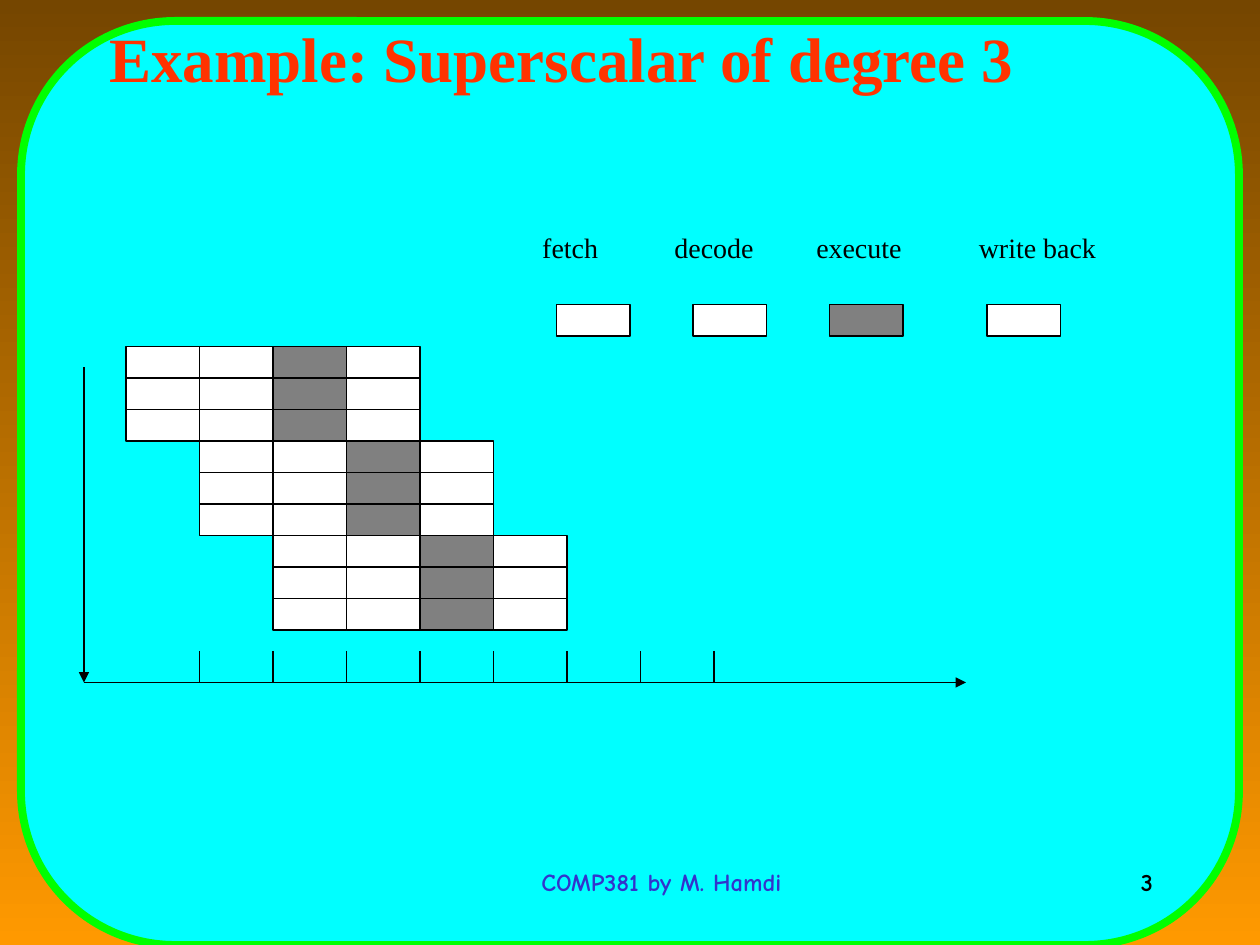
from dataclasses import dataclass

from lxml import etree
from pptx import Presentation
from pptx.dml.color import RGBColor
from pptx.enum.shapes import MSO_CONNECTOR, MSO_SHAPE
from pptx.enum.text import MSO_ANCHOR, MSO_AUTO_SIZE, PP_ALIGN
from pptx.oxml.ns import qn
from pptx.util import Cm, Pt

LEFT, CENTER, RIGHT = PP_ALIGN.LEFT, PP_ALIGN.CENTER, PP_ALIGN.RIGHT
TOP, MIDDLE = MSO_ANCHOR.TOP, MSO_ANCHOR.MIDDLE
NO_FIT = MSO_AUTO_SIZE.NONE
STRAIGHT = MSO_CONNECTOR.STRAIGHT
RECT, PANEL = MSO_SHAPE.RECTANGLE, MSO_SHAPE.FLOWCHART_ALTERNATE_PROCESS


@dataclass(frozen=True)
class Theme:
    serif: str = "Times New Roman"
    comic: str = "Comic Neue"
    top: str = "754600"
    base: str = "FF9900"
    panel: str = "00FFFF"
    edge: str = "00FF00"
    title: str = "FF3300"
    footer: str = "3333CC"
    ink: str = "000000"
    plain: str = "FFFFFF"
    busy: str = "808080"
    big: int = 36
    label: int = 16
    small: int = 14
    thin: float = 0.75
    thick: float = 4.5


@dataclass(frozen=True)
class Box:
    """A frame measured in grid units."""
    x: float
    y: float
    w: float
    h: float


@dataclass(frozen=True)
class Style:
    font: str
    size: int
    color: str
    bold: bool = True
    align: PP_ALIGN = CENTER
    anchor: MSO_ANCHOR = TOP


@dataclass(frozen=True)
class Stage:
    name: str
    fill: str
    x: float
    mid: float


LOOK = Theme()
CELL_W, CELL_H = 7, 3
DEGREE, GROUPS, TICKS = 3, 3, 8
GRID_X, GRID_Y = 12, 33
AXIS_X, AXIS_Y = 8, 65
STAGES = [
    Stage("fetch", LOOK.plain, 53, 54.3),
    Stage("decode", LOOK.plain, 66, 68),
    Stage("execute", LOOK.busy, 79, 81.8),
    Stage("write back", LOOK.plain, 94, 98.8),
]


def unit(n: float) -> int:
    """Turn grid units, twelve to 2.54 cm, into a length."""
    return Cm(n * 2.54 / 12)


def frame(box: Box) -> list[int]:
    return [unit(n) for n in (box.x, box.y, box.w, box.h)]


def rgb(code: str) -> RGBColor:
    return RGBColor.from_string(code)


def block(slide, kind, box: Box, fill: str, edge: str, width: float):
    shape = slide.shapes.add_shape(kind, *frame(box))
    shape.shadow.inherit = False
    shape.fill.solid()
    shape.fill.fore_color.rgb = rgb(fill)
    shape.line.color.rgb = rgb(edge)
    shape.line.width = Pt(width)
    return shape


def cell(slide, x: float, y: float, fill: str) -> None:
    block(slide, RECT, Box(x, y, CELL_W, CELL_H), fill, LOOK.ink, LOOK.thin)


def line(slide, x1: float, y1: float, x2: float, y2: float,
         arrow: bool = False) -> None:
    link = slide.shapes.add_connector(
        STRAIGHT, unit(x1), unit(y1), unit(x2), unit(y2))
    link.line.color.rgb = rgb(LOOK.ink)
    link.line.width = Pt(LOOK.thin)
    props = link.element.spPr
    if arrow:
        etree.SubElement(props.find(qn("a:ln")), qn("a:tailEnd"),
                         type="triangle")
    etree.SubElement(props, qn("a:effectLst"))


def write(shape, text: str, style: Style) -> None:
    body = shape.text_frame
    body.text = text
    body.word_wrap = True
    body.auto_size = NO_FIT
    body.vertical_anchor = style.anchor
    para = body.paragraphs[0]
    para.alignment = style.align
    font = para.runs[0].font
    font.name = style.font
    font.size = Pt(style.size)
    font.bold = style.bold
    font.color.rgb = rgb(style.color)


def label(slide, box: Box, text: str, style: Style) -> None:
    write(slide.shapes.add_textbox(*frame(box)), text, style)


def base(slide) -> None:
    """Paint the backdrop, the rounded panel and the title."""
    fill = slide.background.fill
    fill.gradient()
    fill.gradient_angle = 270
    for stop, code in zip(fill.gradient_stops, (LOOK.top, LOOK.base)):
        stop.color.rgb = rgb(code)
    panel = block(slide, PANEL, Box(2, 2, 116, 88),
                  LOOK.panel, LOOK.edge, LOOK.thick)
    title = slide.shapes.title
    title.element.addprevious(panel.element)
    title.left, title.top, title.width, title.height = frame(
        Box(9.2, 1.3, 102, 8.4))
    write(title, "Example: Superscalar of degree 3",
          Style(LOOK.serif, LOOK.big, LOOK.title, align=LEFT, anchor=MIDDLE))


def pipes(slide) -> None:
    """Draw each issue group one cycle later than the last."""
    for row in range(GROUPS * DEGREE):
        for col, stage in enumerate(STAGES, start=row // DEGREE):
            cell(slide, GRID_X + col * CELL_W, GRID_Y + row * CELL_H,
                 stage.fill)


def axes(slide) -> None:
    line(slide, AXIS_X, AXIS_Y, 92, AXIS_Y, arrow=True)
    line(slide, AXIS_X, 35, AXIS_X, AXIS_Y, arrow=True)
    for tick in range(1, TICKS + 1):
        x = GRID_X + tick * CELL_W
        line(slide, x, AXIS_Y - CELL_H, x, AXIS_Y)


def legend(slide) -> None:
    style = Style(LOOK.serif, LOOK.label, LOOK.ink, bold=False, anchor=MIDDLE)
    for stage in STAGES:
        label(slide, Box(stage.mid - 8, 21.1, 16, 5), stage.name, style)
        cell(slide, stage.x, 29, stage.fill)


def main() -> None:
    deck = Presentation()
    deck.slide_width, deck.slide_height = unit(120), unit(90)
    slide = deck.slides.add_slide(deck.slide_layouts[5])
    base(slide)
    pipes(slide)
    axes(slide)
    legend(slide)
    label(slide, Box(44, 82, 38, 6), "COMP381 by M. Hamdi",
          Style(LOOK.comic, LOOK.small, LOOK.footer))
    label(slide, Box(86, 82, 25, 6), "3",
          Style(LOOK.comic, LOOK.small, LOOK.ink, align=RIGHT))
    deck.save("out.pptx")


if __name__ == "__main__":
    main()
